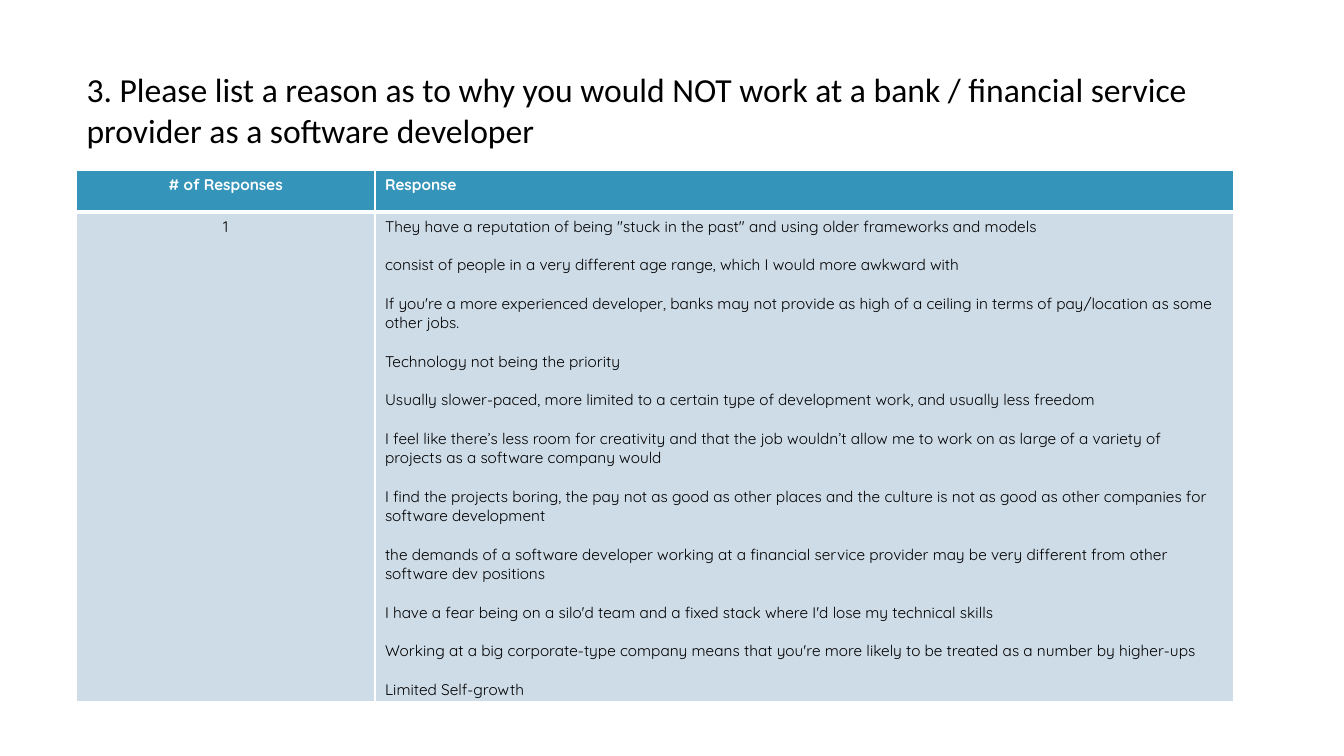
from lxml import etree
from pptx import Presentation
from pptx.dml.color import RGBColor
from pptx.enum.text import PP_ALIGN
from pptx.oxml.ns import qn
from pptx.util import Pt

CENTER, LEFT = PP_ALIGN.CENTER, PP_ALIGN.LEFT
BLACK = RGBColor(0x00, 0x00, 0x00)
WHITE = RGBColor(0xFF, 0xFF, 0xFF)
HEADER_BLUE = RGBColor(0x34, 0x94, 0xBA)
BODY_BLUE = RGBColor(0xCE, 0xDC, 0xE7)

LEFT_EDGE, CONTENT_WIDTH = 54.72, 826.56
COLUMN_WIDTHS = [213.12, 613.44]
ROW_HEIGHTS = [29.52, 350]
RESPONSE_GAP = 13.75

QUESTION = ("3. Please list a reason as to why you would NOT work at a bank / "
            "financial service provider as a software developer")
HEADINGS = ["# of Responses", "Response"]
RESPONSES = [
    'They have a reputation of being "stuck in the past" and using older frameworks and models',
    "consist of people in a very different age range, which I would more awkward with",
    "If you're a more experienced developer, banks may not provide as high of a ceiling "
    "in terms of pay/location as some other jobs.",
    "Technology not being the priority",
    "Usually slower-paced, more limited to a certain type of development work, and usually less freedom",
    "I feel like there’s less room for creativity and that the job wouldn’t allow me to work "
    "on as large of a variety of\vprojects as a software company would",
    "I find the projects boring, the pay not as good as other places and the culture is not "
    "as good as other companies for software development",
    "the demands of a software developer working at a financial service provider may be very "
    "different from other software dev positions",
    "I have a fear being on a silo'd team and a fixed stack where I'd lose my technical skills",
    "Working at a big corporate-type company means that you're more likely to be treated "
    "as a number by higher-ups",
    "Limited Self-growth",
]


def format_runs(paragraph, font_name, size, color, bold=False):
    for run in paragraph.runs:
        run.font.name = font_name
        run.font.size = Pt(size)
        run.font.color.rgb = color
        run.font.bold = bold


def add_title(slide, text):
    title = slide.shapes.add_textbox(Pt(LEFT_EDGE), Pt(46), Pt(CONTENT_WIDTH), Pt(65.5))
    title.text_frame.word_wrap = True
    title.text_frame.text = text
    format_runs(title.text_frame.paragraphs[0], "Calibri", 24, BLACK)


def set_borders(cell, top, bottom):
    properties = cell._tc.get_or_add_tcPr()
    for side, width in (("L", 1), ("R", 1), ("T", top), ("B", bottom)):
        line = etree.SubElement(properties, qn(f"a:ln{side}"), w=str(Pt(width)))
        fill = etree.SubElement(line, qn("a:solidFill"))
        etree.SubElement(fill, qn("a:srgbClr"), val=str(WHITE))


def fill_cell(cell, texts, align, is_header):
    set_borders(cell, *((1, 3) if is_header else (3, 1)))
    cell.fill.solid()
    cell.fill.fore_color.rgb = HEADER_BLUE if is_header else BODY_BLUE
    frame = cell.text_frame
    for index, text in enumerate(texts):
        paragraph = frame.add_paragraph() if index else frame.paragraphs[0]
        paragraph.text = text
        paragraph.alignment = align
        paragraph.space_before = Pt(RESPONSE_GAP if index else 0)
        format_runs(paragraph, "Quicksand", 11, WHITE if is_header else BLACK, is_header)


def add_response_table(slide):
    table = slide.shapes.add_table(
        2, 2, Pt(LEFT_EDGE), Pt(121.7), Pt(CONTENT_WIDTH), Pt(sum(ROW_HEIGHTS))
    ).table
    for column, width in zip(table.columns, COLUMN_WIDTHS):
        column.width = Pt(width)
    for row, height in zip(table.rows, ROW_HEIGHTS):
        row.height = Pt(height)
    contents = [[[heading] for heading in HEADINGS], [["1"], RESPONSES]]
    for row_index, row_texts in enumerate(contents):
        for column_index, texts in enumerate(row_texts):
            align = LEFT if column_index else CENTER
            fill_cell(table.cell(row_index, column_index), texts, align, row_index == 0)


def main():
    presentation = Presentation()
    presentation.slide_width = Pt(960)
    presentation.slide_height = Pt(540)
    slide = presentation.slides.add_slide(presentation.slide_layouts[6])
    add_title(slide, QUESTION)
    add_response_table(slide)
    presentation.save("out.pptx")


if __name__ == "__main__":
    main()
